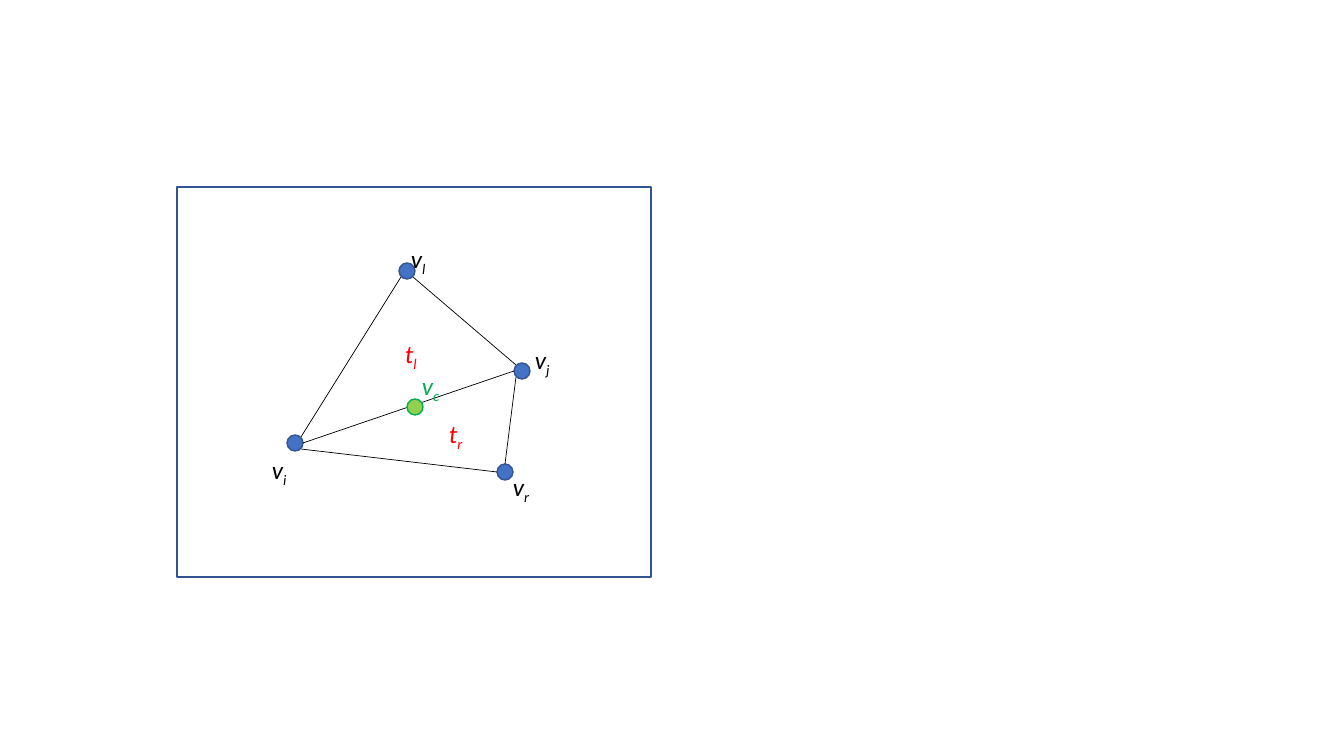
from enum import Enum
from typing import NamedTuple

from lxml.etree import SubElement
from pptx import Presentation
from pptx.dml.color import RGBColor
from pptx.enum.shapes import MSO_CONNECTOR as Connector, MSO_SHAPE as Preset
from pptx.enum.text import MSO_AUTO_SIZE as AutoSize
from pptx.oxml.ns import qn
from pptx.util import Emu, Pt

BLUE = RGBColor(0x44, 0x72, 0xC4)
NAVY = RGBColor(0x32, 0x54, 0x91)
LIME = RGBColor(0x92, 0xD0, 0x50)
GREEN = RGBColor(0x00, 0xB0, 0x50)
RED = RGBColor(0xFF, 0x00, 0x00)
BLACK = RGBColor(0x00, 0x00, 0x00)

EMU_PER_PIXEL = 914400 / 100.8
RADIUS = 8
LABEL_HEIGHT = 40


class Side(Enum):
    N = (0, -8)
    NE = (6, -6)
    E = (8, 0)
    SE = (6, 6)
    SW = (-6, 6)
    W = (-8, 0)
    NW = (-6, -6)


class Vertex(NamedTuple):
    x: int
    y: int
    fill: RGBColor = BLUE
    outline: RGBColor = NAVY

    def rim(self, side: Side) -> tuple[int, int]:
        dx, dy = side.value
        return self.x + dx, self.y + dy


class Edge(NamedTuple):
    start: Vertex
    start_side: Side
    end: Vertex
    end_side: Side


class Label(NamedTuple):
    symbol: str
    index: str
    left: int
    top: int
    width: int
    color: RGBColor = BLACK


V_R = Vertex(505, 472)
V_J = Vertex(522, 371)
V_L = Vertex(407, 271)
V_I = Vertex(295, 443)
V_C = Vertex(415, 407, LIME, GREEN)

EDGES = [
    Edge(V_R, Side.W, V_I, Side.SE),
    Edge(V_I, Side.NE, V_L, Side.SW),
    Edge(V_I, Side.E, V_J, Side.W),
    Edge(V_L, Side.SE, V_J, Side.NW),
    Edge(V_J, Side.SW, V_R, Side.N),
]

LABELS = [
    Label("v", "i", 262, 449, 35),
    Label("v", "j", 525, 339, 35),
    Label("v", "r", 503, 466, 37),
    Label("v", "l", 401, 238, 35),
    Label("v", "c", 412, 365, 38, GREEN),
    Label("t", "r", 439, 413, 34, RED),
    Label("t", "l", 395, 333, 32, RED),
]


def px(*lengths: int) -> list[Emu]:
    return [Emu(round(length * EMU_PER_PIXEL)) for length in lengths]


def draw_frame(left: int, top: int, width: int, height: int) -> None:
    frame = slide.shapes.add_shape(Preset.RECTANGLE, *px(left, top, width, height))
    frame.shadow.inherit = False
    frame.fill.background()
    frame.line.color.rgb = NAVY
    frame.line.width = Pt(1)


def draw_vertex(vertex: Vertex) -> None:
    box = px(vertex.x - RADIUS, vertex.y - RADIUS, 2 * RADIUS, 2 * RADIUS)
    dot = slide.shapes.add_shape(Preset.OVAL, *box)
    dot.shadow.inherit = False
    dot.fill.solid()
    dot.fill.fore_color.rgb = vertex.fill
    dot.line.color.rgb = vertex.outline
    dot.line.width = Pt(1)


def draw_edge(edge: Edge) -> None:
    ends = px(*edge.start.rim(edge.start_side), *edge.end.rim(edge.end_side))
    segment = slide.shapes.add_connector(Connector.STRAIGHT, *ends)
    segment.line.color.rgb = BLACK
    segment.line.width = Pt(0.5)
    SubElement(segment._element.spPr, qn("a:effectLst"))


def draw_label(label: Label) -> None:
    box = px(label.left, label.top, label.width, LABEL_HEIGHT)
    frame = slide.shapes.add_textbox(*box).text_frame
    frame.word_wrap = False
    frame.auto_size = AutoSize.SHAPE_TO_FIT_TEXT
    for text, baseline in ((label.symbol, 0), (label.index, -25000)):
        run = frame.paragraphs[0].add_run()
        run.text = text
        run.font.name = "Calibri"
        run.font.size = Pt(18)
        run.font.italic = True
        run.font.color.rgb = label.color
        if baseline:
            run._r.get_or_add_rPr().set("baseline", str(baseline))


presentation = Presentation()
presentation.slide_width, presentation.slide_height = px(1344, 756)
slide = presentation.slides.add_slide(presentation.slide_layouts[6])

draw_frame(177, 187, 474, 390)
for corner in (V_R, V_J, V_L, V_I):
    draw_vertex(corner)
for edge in EDGES:
    draw_edge(edge)
draw_vertex(V_C)
for label in LABELS:
    draw_label(label)

presentation.save("out.pptx")
